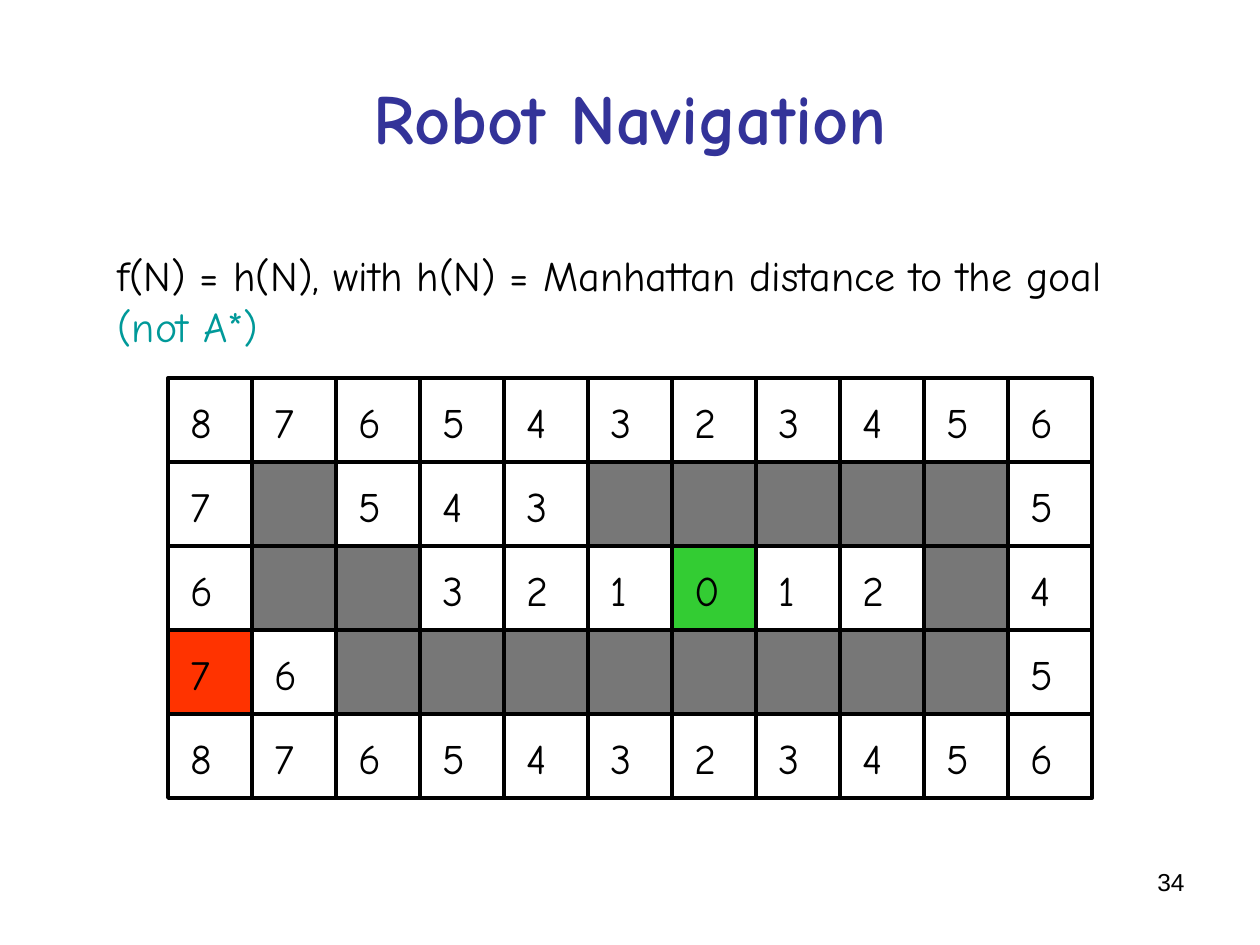
from dataclasses import dataclass

from lxml.etree import SubElement
from pptx import Presentation
from pptx.dml.color import RGBColor
from pptx.enum.shapes import MSO_CONNECTOR as Connector, MSO_SHAPE as Shape
from pptx.enum.text import MSO_ANCHOR as Anchor, MSO_AUTO_SIZE as AutoSize, PP_ALIGN as Align
from pptx.oxml.ns import qn
from pptx.util import Inches, Pt


@dataclass(frozen=True)
class Theme:
    font: str = "Comic Neue"
    number_font: str = "Arial"
    ink: str = "000000"
    title: str = "333399"
    accent: str = "009999"
    wall: str = "777777"
    start: str = "FF3300"
    goal: str = "33CC33"
    title_size: float = 40
    body_size: float = 24
    number_size: float = 14
    line_width: float = 2.25


# The slide is 15 cells wide; the maze lies on this grid
CELL = Inches(10) / 15
MAZE_LEFT, MAZE_TOP = 2, 4.5
WALL = "#"
MAZE = [
    "87654323456",
    "7#543#####5",
    "6##321012#4",
    "76########5",
    "87654323456",
]
START, GOAL = (0, 3), (6, 2)  # column, row


def cells(*lengths):
    return [round(length * CELL) for length in lengths]


class SlideBuilder:
    def __init__(self, presentation, theme):
        self.theme = theme
        self.slide = presentation.slides.add_slide(presentation.slide_layouts[5])
        self.shapes = self.slide.shapes

    def style_font(self, font, size, color, name=None, bold=False):
        font.name = name or self.theme.font
        font.size = Pt(size)
        font.bold = bold
        font.color.rgb = RGBColor.from_string(color)

    def style_line(self, line):
        line.color.rgb = RGBColor.from_string(self.theme.ink)
        line.width = Pt(self.theme.line_width)

    def title(self, text, box):
        shape = self.slide.shapes.title
        shape.left, shape.top, shape.width, shape.height = cells(*box)
        shape.text_frame.text = text
        shape.text_frame.vertical_anchor = Anchor.MIDDLE
        paragraph = shape.text_frame.paragraphs[0]
        paragraph.alignment = Align.CENTER
        self.style_font(paragraph.font, self.theme.title_size, self.theme.title, bold=True)

    def text(self, text, box, size=None, name=None, align=Align.LEFT, wrap=False):
        frame = self.shapes.add_textbox(*cells(*box)).text_frame
        frame.word_wrap = wrap
        frame.auto_size = AutoSize.NONE if wrap else AutoSize.SHAPE_TO_FIT_TEXT
        paragraph = frame.paragraphs[0]
        paragraph.alignment = align
        paragraph.add_run().text = text
        self.style_font(paragraph.font, size or self.theme.body_size, self.theme.ink, name)
        return paragraph

    def rectangle(self, box, fill=None):
        shape = self.shapes.add_shape(Shape.RECTANGLE, *cells(*box))
        shape.shadow.inherit = False
        if fill:
            shape.fill.solid()
            shape.fill.fore_color.rgb = RGBColor.from_string(fill)
        else:
            shape.fill.background()
        self.style_line(shape.line)

    def line(self, *ends):
        connector = self.shapes.add_connector(Connector.STRAIGHT, *cells(*ends))
        self.style_line(connector.line)
        SubElement(connector._element.spPr, qn("a:effectLst"))

    def maze(self, rows):
        self.shapes = self.slide.shapes.add_group_shape().shapes
        width, height = len(rows[0]), len(rows)
        right, bottom = MAZE_LEFT + width, MAZE_TOP + height

        # Frame and grid lines
        self.rectangle((MAZE_LEFT, MAZE_TOP, width, height))
        for x in range(MAZE_LEFT + 1, right):
            self.line(x, MAZE_TOP, x, bottom)
        for row in range(1, height):
            self.line(MAZE_LEFT, MAZE_TOP + row, right, MAZE_TOP + row)

        # Walls, start and goal, then the distances
        special = {START: self.theme.start, GOAL: self.theme.goal}
        for row, values in enumerate(rows):
            for column, value in enumerate(values):
                x, y = MAZE_LEFT + column, MAZE_TOP + row
                fill = self.theme.wall if value == WALL else special.get((column, row))
                if fill:
                    self.rectangle((x, y, 1, 1), fill)
                if value != WALL:
                    self.text(value, (x + 0.12, y + 0.15, 0.6, 0.75))
        self.shapes = self.slide.shapes


def main():
    presentation = Presentation()
    presentation.slide_width, presentation.slide_height = cells(15, 11.25)
    theme = Theme()
    builder = SlideBuilder(presentation, theme)

    # Slide number and title
    builder.text("34", (10.75, 10.25, 3.5, 0.78), theme.number_size,
                 theme.number_font, Align.RIGHT, wrap=True)
    builder.title("Robot Navigation", (0.75, 0.45, 13.5, 1.88))

    builder.maze(MAZE)

    # Evaluation function
    formula = builder.text("f(N) = h(N), with h(N) = Manhattan distance to the goal",
                           (1.25, 2.9, 13.23, 1.35))
    formula.add_line_break()
    remark = formula.add_run()
    remark.text = "(not A*)"
    remark.font.color.rgb = RGBColor.from_string(theme.accent)

    presentation.save("out.pptx")


if __name__ == "__main__":
    main()
